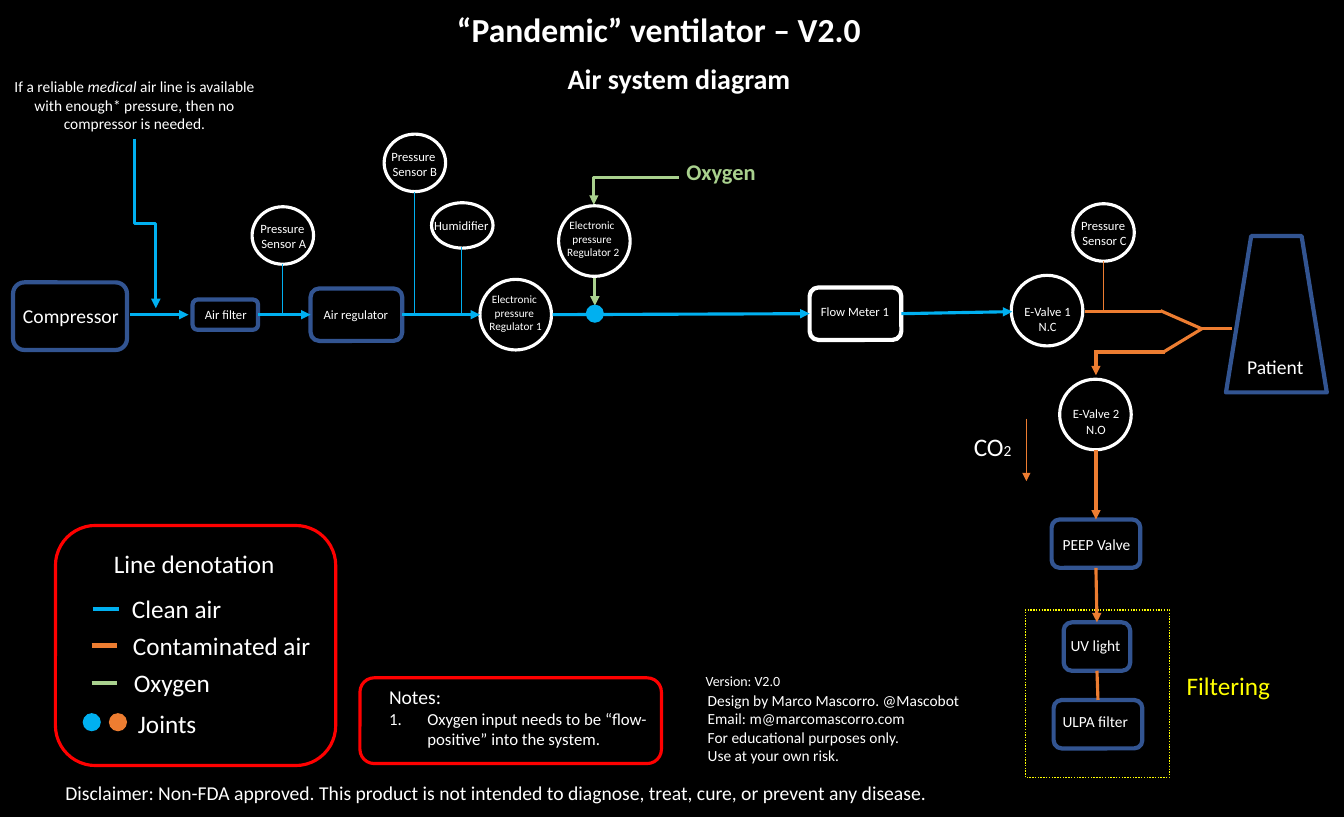
from lxml import etree
from pptx import Presentation
from pptx.dml.color import RGBColor
from pptx.enum.dml import MSO_LINE
from pptx.enum.shapes import MSO_CONNECTOR, MSO_SHAPE
from pptx.enum.text import MSO_ANCHOR, MSO_AUTO_SIZE, PP_ALIGN
from pptx.oxml.ns import qn
from pptx.util import Inches, Pt

BLACK = RGBColor(0x00, 0x00, 0x00)
WHITE = RGBColor(0xFF, 0xFF, 0xFF)
NAVY = RGBColor(0x32, 0x54, 0x91)
RED = RGBColor(0xFF, 0x00, 0x00)
YELLOW = RGBColor(0xFF, 0xFF, 0x00)
CLEAN = RGBColor(0x00, 0xB0, 0xF0)
CONTAMINATED = RGBColor(0xED, 0x7D, 0x31)
OXYGEN = RGBColor(0xA9, 0xD1, 0x8E)
LEFT, CENTER = PP_ALIGN.LEFT, PP_ALIGN.CENTER
ANCHOR_TOP, GROW = MSO_ANCHOR.TOP, MSO_AUTO_SIZE.SHAPE_TO_FIT_TEXT
DOTTED = MSO_LINE.ROUND_DOT
ROUNDED, ELLIPSE = MSO_SHAPE.ROUNDED_RECTANGLE, MSO_SHAPE.OVAL
TRAPEZOID, RECTANGLE = MSO_SHAPE.TRAPEZOID, MSO_SHAPE.RECTANGLE
STRAIGHT, ELBOW = MSO_CONNECTOR.STRAIGHT, MSO_CONNECTOR.ELBOW
TOP, SIDE_LEFT, BOTTOM, SIDE_RIGHT = range(4)

deck = Presentation()
deck.slide_width, deck.slide_height = Inches(13.33), Inches(8.1)
page = deck.slides.add_slide(deck.slide_layouts[5])
page.background.fill.solid()
page.background.fill.fore_color.rgb = BLACK


def write(box, paragraphs, size, align=LEFT, wrap=False, color=WHITE, bold=False):
    frame = box.text_frame
    frame.word_wrap = wrap
    frame.auto_size = GROW
    frame.vertical_anchor = ANCHOR_TOP
    for index, spans in enumerate(paragraphs):
        para = frame.paragraphs[0] if index == 0 else frame.add_paragraph()
        para.alignment = align
        for text, changes in [(spans, {})] if isinstance(spans, str) else spans:
            span = para.add_run()
            span.text = text
            values = {"name": "Calibri", "size": Pt(size), "bold": bold, **changes}
            for name, value in values.items():
                setattr(span.font, name, value)
            span.font.color.rgb = color


def connect(start, end, color, width=2.25, arrow=False, kind=STRAIGHT):
    line = page.shapes.add_connector(kind, *[Inches(v) for v in start + end])
    line.line.color.rgb = color
    line.line.width = Pt(width)
    if arrow:
        outline = line._element.spPr.find(qn("a:ln"))
        etree.SubElement(outline, qn("a:tailEnd"), type="triangle")
    etree.SubElement(line._element.spPr, qn("a:effectLst"))
    return line


title = page.shapes.title
title.left, title.top, title.width, title.height = [Inches(v) for v in (3.47, 0.04, 6.13, 0.5)]
write(title, ["“Pandemic” ventilator – V2.0"], 24, CENTER, True, bold=True)

outlines = {
    "Compressor": (ROUNDED, 0.13, 2.8, 1.13, 0.67, NAVY, 3),
    "Air filter": (ROUNDED, 1.91, 2.97, 0.65, 0.3, NAVY, 3),
    "Air regulator": (ROUNDED, 3.08, 2.86, 0.91, 0.52, NAVY, 3),
    "Flow Meter": (ROUNDED, 8.03, 2.85, 0.91, 0.52, WHITE, 3),
    "Patient": (TRAPEZOID, 12.16, 2.34, 1, 1.55, NAVY, 3),
    "PEEP Valve": (ROUNDED, 10.43, 5.15, 0.88, 0.48, NAVY, 3),
    "UV light": (ROUNDED, 10.55, 6.17, 0.66, 0.48, NAVY, 3),
    "ULPA filter": (ROUNDED, 10.45, 6.94, 0.88, 0.48, NAVY, 3),
    "Line denotation": (ROUNDED, 0.55, 5.21, 2.78, 2.38, RED, 2.25),
    "Notes": (ROUNDED, 3.57, 6.72, 2.99, 0.85, RED, 2.25),
    "Filtering": (RECTANGLE, 10.17, 6.05, 1.43, 1.66, YELLOW, 1),
    "Humidifier": (ELLIPSE, 4.28, 2.01, 0.61, 0.45, WHITE, 2.25),
}
for name, left, top in [("Sensor A", 2.5, 2.05), ("Sensor B", 3.81, 1.33), ("Sensor C", 10.64, 2.02)]:
    outlines[name] = (ELLIPSE, left, top, 0.61, 0.57, WHITE, 2.25)
for name, left, top in [("Regulator 1", 4.76, 2.77), ("Regulator 2", 5.54, 2.04),
                        ("E-Valve 1", 10.03, 2.73), ("E-Valve 2", 10.51, 3.76)]:
    outlines[name] = (ELLIPSE, left, top, 0.71, 0.7, WHITE, 2.25)

parts = {}
for name, (kind, left, top, width, height, color, weight) in outlines.items():
    part = page.shapes.add_shape(kind, *[Inches(v) for v in (left, top, width, height)])
    part.shadow.inherit = False
    part.fill.background()
    part.line.color.rgb = color
    part.line.width = Pt(weight)
    parts[name] = part
parts["Filtering"].line.dash_style = DOTTED

for start, end, color, arrow, source, target in [
    ((2.56, 3.12), (3.08, 3.12), CLEAN, True, ("Air filter", SIDE_RIGHT), ("Air regulator", SIDE_LEFT)),
    ((3.99, 3.12), (4.76, 3.12), CLEAN, True, ("Air regulator", SIDE_RIGHT), None),
    ((5.48, 3.12), (8.03, 3.11), CLEAN, True, None, ("Flow Meter", SIDE_LEFT)),
    ((8.94, 3.11), (10.04, 3.09), CLEAN, True, ("Flow Meter", SIDE_RIGHT), None),
    ((10.87, 4.46), (10.87, 5.15), CONTAMINATED, True, None, ("PEEP Valve", TOP)),
    ((10.87, 5.63), (10.88, 6.17), CONTAMINATED, True, ("PEEP Valve", BOTTOM), ("UV light", TOP)),
    ((10.88, 6.65), (10.89, 6.94), CONTAMINATED, False, ("UV light", BOTTOM), ("ULPA filter", TOP)),
]:
    pipe = connect(start, end, color, arrow=arrow)
    if source:
        pipe.begin_connect(parts[source[0]], source[1])
    if target:
        pipe.end_connect(parts[target[0]], target[1])

for start, end, color, width, arrow in [
    ((1.29, 3.12), (1.87, 3.12), CLEAN, 2.25, True),
    ((5.9, 2.76), (5.9, 3.03), OXYGEN, 2.25, True),
    ((10.76, 3.09), (11.52, 3.09), CONTAMINATED, 2.25, False),
    ((11.51, 3.08), (11.92, 3.26), CONTAMINATED, 2.25, False),
    ((11.54, 3.49), (11.92, 3.26), CONTAMINATED, 2.25, False),
    ((11.91, 3.26), (12.22, 3.26), CONTAMINATED, 2.25, False),
    ((10.88, 3.49), (11.55, 3.49), CONTAMINATED, 2.25, False),
    ((10.87, 3.47), (10.87, 3.72), CONTAMINATED, 2.25, True),
    ((10.18, 4.15), (10.18, 4.77), CONTAMINATED, 0.5, True),
    ((2.8, 2.62), (2.8, 3.13), CLEAN, 0.5, False),
    ((4.11, 1.9), (4.11, 3.12), CLEAN, 0.5, False),
    ((4.58, 2.45), (4.58, 3.11), CLEAN, 0.5, False),
    ((10.94, 2.59), (10.94, 3.1), CONTAMINATED, 0.5, False),
    ((0.92, 6.04), (1.18, 6.04), CLEAN, 3, False),
    ((0.91, 6.4), (1.16, 6.4), CONTAMINATED, 3, False),
    ((0.91, 6.77), (1.16, 6.77), OXYGEN, 3, False),
]:
    connect(start, end, color, width, arrow)

for start, end, color, preset, degrees in [
    ((2.28, 2.11), (0.6, 2.32), CLEAN, "bentConnector3", 270),
    ((5.89, 2.03), (6.73, 1.76), OXYGEN, "bentConnector2", 180),
]:
    elbow = connect(start, end, color, arrow=True, kind=ELBOW)
    elbow._element.spPr.find(qn("a:xfrm")).set("rot", str(degrees * 60000))
    elbow._element.spPr.find(qn("a:prstGeom")).set("prst", preset)

for left, top, color in [(5.81, 3.02, CLEAN), (0.82, 7.07, CLEAN), (1.08, 7.07, CONTAMINATED)]:
    joint = page.shapes.add_shape(ELLIPSE, *[Inches(v) for v in (left, top, 0.18, 0.18)])
    joint.shadow.inherit = False
    joint.fill.solid()
    joint.fill.fore_color.rgb = color
    joint.line.fill.background()

air_line_note = [[
    ("If a reliable ", {}),
    ("medical", {"italic": True}),
    (" air line is available with enough* pressure, then no compressor is needed.", {}),
]]
credits = ["Design by Marco Mascorro. @Mascobot", "Email: m@marcomascorro.com",
           "For educational purposes only.", "Use at your own risk."]
disclaimer = ("Disclaimer: Non-FDA approved. This product is not intended to diagnose, "
              "treat, cure, or prevent any disease.")
labels = [
    (["Air system diagram"], 5.52, 0.56, 2.43, 0.44, 20, CENTER, False, WHITE, True),
    (air_line_note, 0, 0.72, 2.67, 0.66, 11, CENTER, True),
    (["Compressor"], 0.13, 2.96, 1.16, 0.34, 14),
    (["Air filter"], 1.87, 2.99, 0.74, 0.25, 9, CENTER, True),
    (["Air regulator"], 3.06, 2.99, 0.94, 0.25, 9, CENTER, True),
    (["Flow Meter 1"], 8.01, 2.96, 0.94, 0.25, 9, CENTER, True),
    (["Humidifier"], 4.2, 2.11, 0.75, 0.25, 9, CENTER),
    (["Pressure ", "Sensor A"], 2.48, 2.14, 0.67, 0.4, 9, CENTER),
    (["Pressure ", "Sensor B"], 3.78, 1.43, 0.67, 0.4, 9, CENTER),
    (["Pressure ", "Sensor C"], 10.62, 2.11, 0.67, 0.4, 9, CENTER),
    (["Electronic ", "pressure ", "Regulator 1"], 4.75, 2.85, 0.73, 0.5, 8, CENTER),
    (["Electronic ", "pressure ", "Regulator 2"], 5.52, 2.12, 0.73, 0.5, 8, CENTER),
    (["E-Valve 1", "N.C"], 10.05, 2.96, 0.68, 0.4, 9, CENTER),
    (["E-Valve 2", "N.O"], 10.53, 3.98, 0.68, 0.4, 9, CENTER),
    (["Oxygen"], 6.71, 1.52, 0.95, 0.37, 16, LEFT, False, OXYGEN, True),
    (["Patient"], 12.27, 3.47, 0.77, 0.34, 14),
    ([[("CO", {}), ("2", {"size": Pt(11)})]], 9.56, 4.23, 0.63, 0.4, 18, LEFT, True),
    (["PEEP Valve"], 10.44, 5.26, 0.89, 0.29, 11),
    (["UV light"], 10.52, 6.26, 0.7, 0.29, 11, LEFT, True),
    (["ULPA filter"], 10.44, 7.01, 0.87, 0.29, 11),
    (["Filtering"], 11.67, 6.6, 1.04, 0.4, 18, LEFT, False, YELLOW),
    (["Line denotation"], 1.03, 5.39, 1.82, 0.4, 18),
    (["Clean air"], 1.21, 5.83, 1.1, 0.4, 18),
    (["Contaminated air"], 1.22, 6.2, 1.98, 0.4, 18),
    (["Oxygen"], 1.23, 6.57, 0.96, 0.4, 18),
    (["Joints"], 1.27, 6.97, 0.79, 0.4, 18),
    (["Version: V2.0"], 6.9, 6.62, 1.67, 0.27, 10, LEFT, True),
    (credits, 6.92, 6.8, 2.72, 0.84, 11),
    ([disclaimer], 0.55, 7.69, 9.14, 0.34, 14, LEFT, True),
]
for paragraphs, left, top, width, height, *style in labels:
    label = page.shapes.add_textbox(*[Inches(v) for v in (left, top, width, height)])
    write(label, paragraphs, *style)

notes = page.shapes.add_textbox(Inches(3.76), Inches(6.74), Inches(2.79), Inches(0.74))
oxygen_note = [("Oxygen input needs to be “flow-positive” into the system.", {"size": Pt(12)})]
write(notes, ["Notes:", oxygen_note], 14, wrap=True)
numbering = notes.text_frame.paragraphs[1]._p.get_or_add_pPr()
numbering.set("marL", str(Inches(0.38)))
numbering.set("indent", str(-Inches(0.38)))
etree.SubElement(numbering, qn("a:buAutoNum"), type="arabicPeriod")

deck.save("out.pptx")
